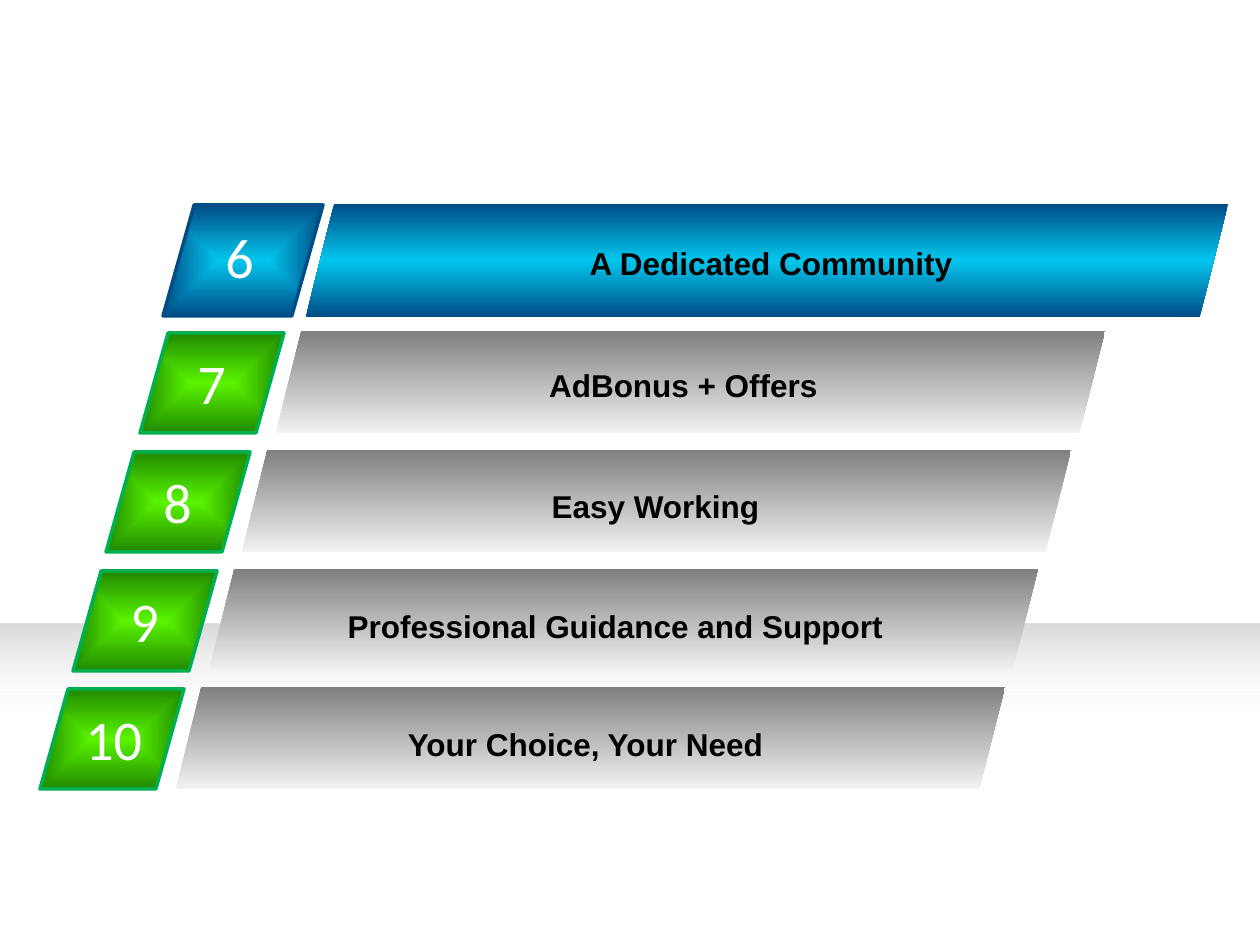
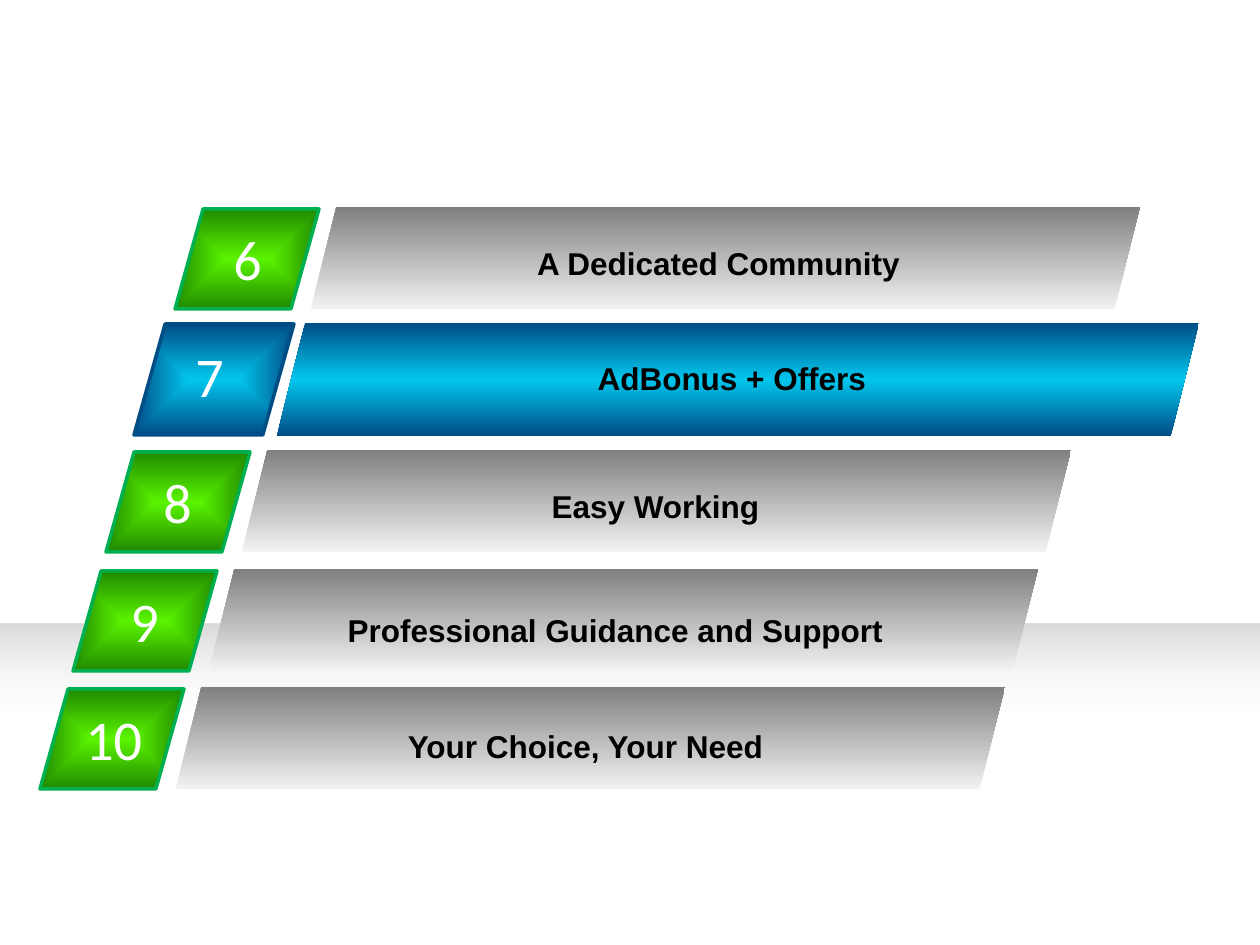
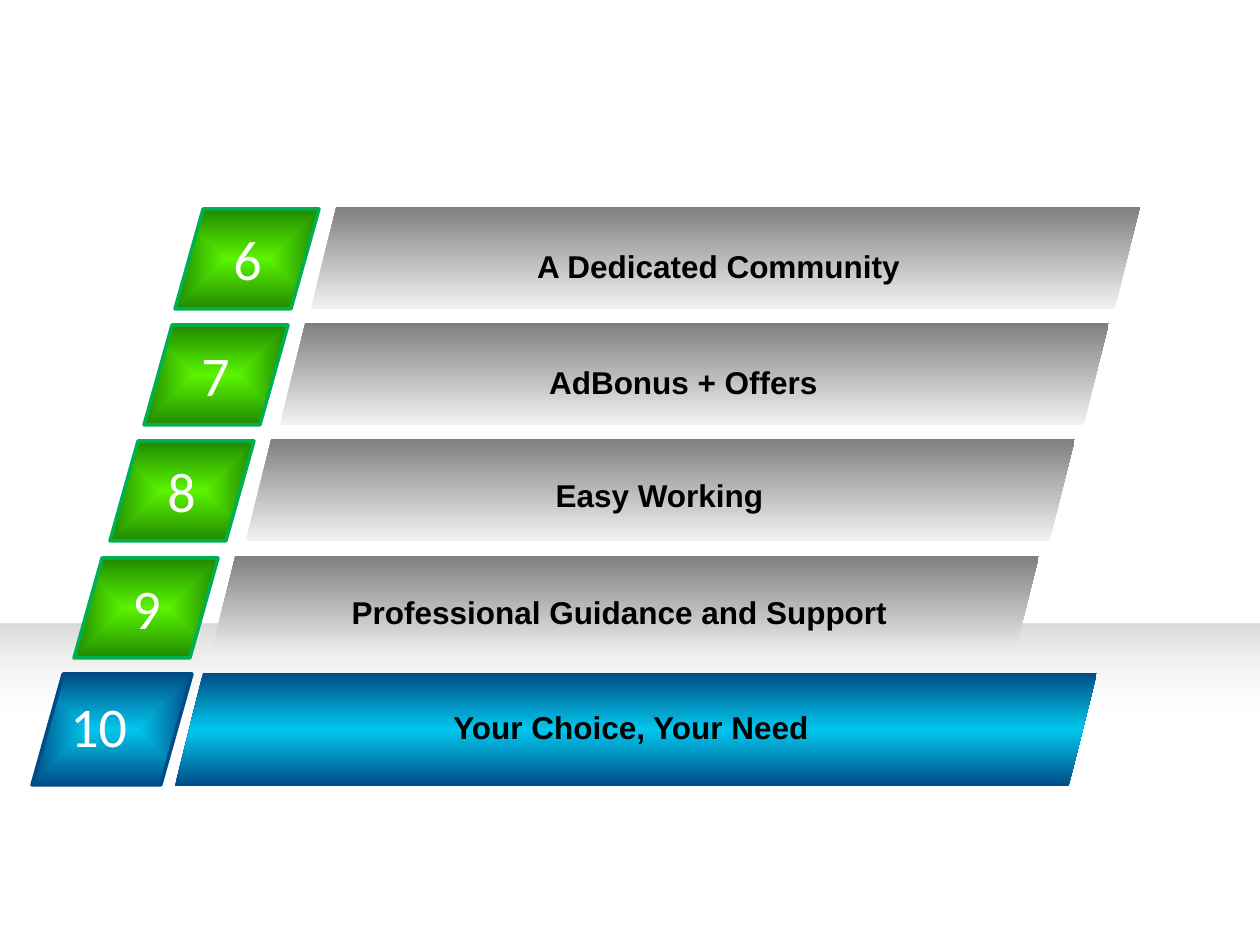
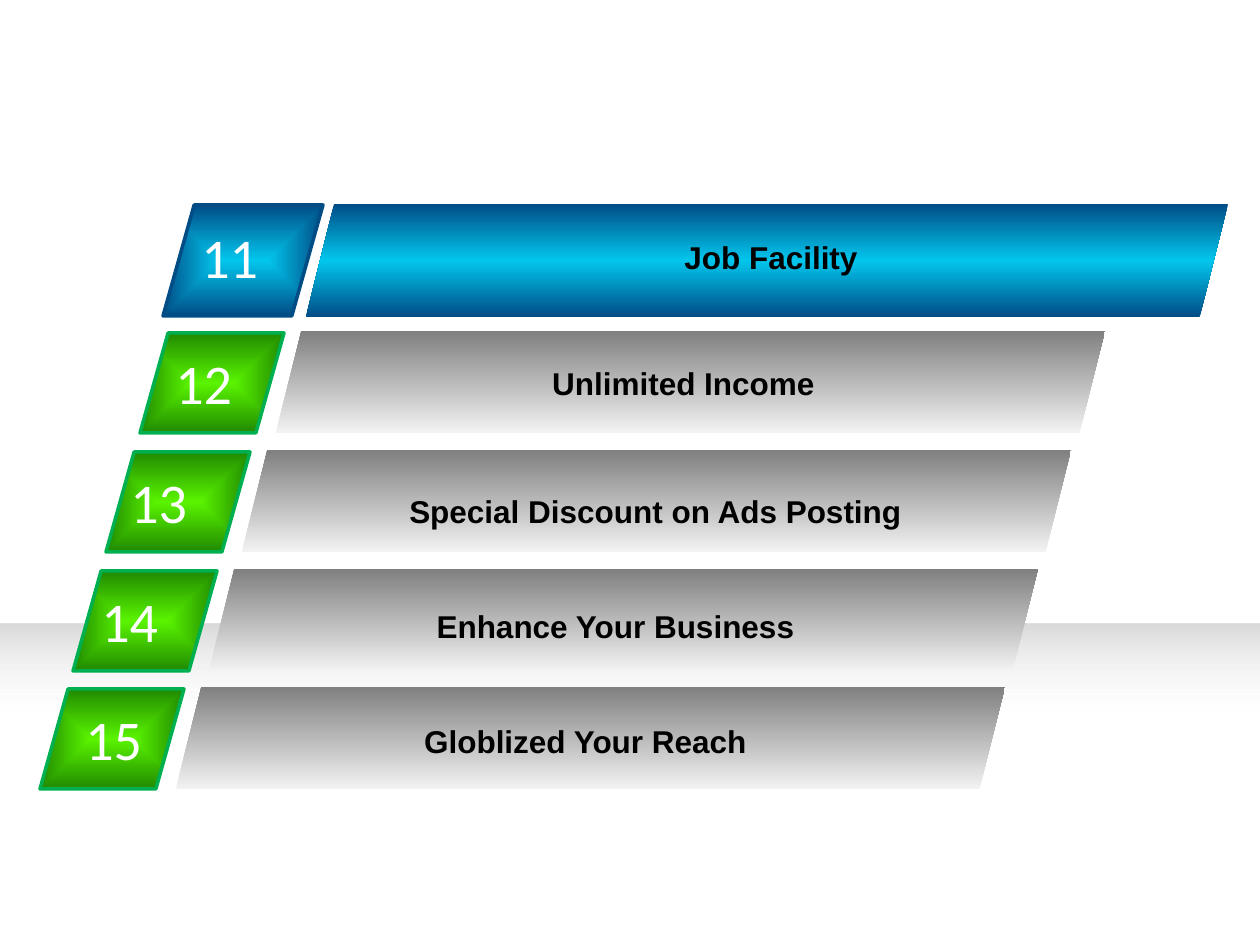
from pptx import Presentation
from pptx import util as u
from pptx.dml.color import RGBColor
from pptx.enum import shapes, text
from pptx.oxml import parse_xml
from pptx.oxml.ns import nsdecls, qn

COLORS = {
    "white": "FFFFFF",
    "black": "000000",
    "band": "D9D9D9",
    "silver": "F2F2F2",
    "gray": "808080",
    "cyan": "03C6ED",
    "navy": "004D86",
    "lime": "5AF300",
    "forest": "208A00",
    "edge": "00B050",
}
UP = '<a:lin ang="16200000" scaled="0"/>'
FROM_CENTER = '<a:path path="shape"><a:fillToRect l="50000" t="50000" r="50000" b="50000"/></a:path>'

PLAIN = {
    "bar": (829, 102),
    "bar_stops": [(0, "silver", 100), (100, "gray", 100)],
    "badge": (144, 100),
    "badge_offset": (-136, 2),
    "badge_stops": [(0, "lime", 100), (100, "forest", 100)],
    "edge": "edge",
    "digit_drop": 9,
    "label_width": 745,
}
ACTIVE = {
    "bar": (922, 113),
    "bar_stops": [(0, "navy", 100), (50, "cyan", 100), (100, "navy", 100)],
    "badge": (160, 111),
    "badge_offset": (-143, 1),
    "badge_stops": [(0, "cyan", 100), (100, "navy", 100)],
    "edge": "navy",
    "digit_drop": 11,
    "label_width": 828,
}


class Deck:
    """Hold the shared style and the slide being drawn."""

    SCALE = u.Inches(1) // 126

    def __init__(self):
        """Open a presentation of 10 by 7.5 inches."""
        self.presentation = Presentation()
        self.presentation.slide_width = u.Inches(10)
        self.presentation.slide_height = u.Inches(7.5)
        self.layout = self.presentation.slide_layouts.get_by_name("Blank")
        self.slide = None

    def new_slide(self):
        """Start a slide without a title."""
        self.slide = self.presentation.slides.add_slide(self.layout)

    def box(self, left, top, width, height):
        """Turn pixels into lengths."""
        return [self.SCALE * value for value in (left, top, width, height)]

    def gradient_shape(self, kind, box, stops, direction, edge=None):
        """Add a preset shape with a gradient fill and an optional edge."""
        shape = self.slide.shapes.add_shape(kind, *self.box(*box))
        shape.shadow.inherit = False
        shape.fill.background()
        stop_xml = "".join(
            f'<a:gs pos="{position * 1000}"><a:srgbClr val="{COLORS[color]}">'
            f'<a:alpha val="{alpha * 1000}"/></a:srgbClr></a:gs>'
            for position, color, alpha in stops
        )
        properties = shape.element.spPr
        properties.replace(
            properties.find(qn("a:noFill")),
            parse_xml(
                f'<a:gradFill {nsdecls("a")} rotWithShape="1">'
                f"<a:gsLst>{stop_xml}</a:gsLst>{direction}</a:gradFill>"
            ),
        )
        if edge:
            shape.line.color.rgb = RGBColor.from_string(COLORS[edge])
            shape.line.width = u.Pt(2)
        else:
            shape.line.fill.background()
        return shape

    def floor_band(self):
        """Put the fading band on the layout, behind every slide."""
        stops = [(0, "white", 0), (61, "white", 0), (100, "band", 100)]
        band = self.gradient_shape(
            shapes.MSO_SHAPE.RECTANGLE, (0, 624, 1260, 254), stops, UP
        )
        self.layout.shapes.element.insert(2, band.element)

    def add_text(self, words, box, size, font, color, bold=False, align=text.PP_ALIGN.LEFT):
        """Add a text box with one formatted line."""
        frame = self.slide.shapes.add_textbox(*self.box(*box)).text_frame
        frame.word_wrap = True
        frame.auto_size = text.MSO_AUTO_SIZE.SHAPE_TO_FIT_TEXT
        paragraph = frame.paragraphs[0]
        paragraph.alignment = align
        run = paragraph.add_run()
        run.text = words
        run.font.size = u.Pt(size)
        run.font.name = font
        run.font.bold = bold
        run.font.color.rgb = RGBColor.from_string(COLORS[color])

    def step(self, number, label, place, digit_left, label_place, look):
        """Draw a numbered badge with its labelled bar."""
        left, top = place
        slant = shapes.MSO_SHAPE.PARALLELOGRAM
        shift, drop = look["badge_offset"]
        badge_top = top + drop
        badge = self.gradient_shape(
            slant, (left + shift, badge_top, *look["badge"]),
            look["badge_stops"], FROM_CENTER, look["edge"],
        )
        badge.adjustments[0] = 0.281
        self.gradient_shape(slant, (*place, *look["bar"]), look["bar_stops"], UP)
        digit_width = 56 if len(number) == 1 else 98
        self.add_text(
            number, (digit_left, badge_top + look["digit_drop"], digit_width, 80),
            size=32, font="Calibri", color="white",
        )
        self.add_text(
            label, (*label_place, look["label_width"], 50),
            size=18, font="Arial", color="black", bold=True, align=text.PP_ALIGN.CENTER,
        )

    def ladder(self, first, active, labels, places, digit_lefts, label_places):
        """Draw a slide of steps, one of them highlighted."""
        self.new_slide()
        rows = zip(labels, places, digit_lefts, label_places)
        for number, row in enumerate(rows, first):
            self.step(str(number), *row, ACTIVE if number == active else PLAIN)


BENEFITS = [
    "A Dedicated Community",
    "AdBonus + Offers",
    "Easy Working",
    "Professional Guidance and Support",
    "Your Choice, Your Need",
]
REWARDS = [
    "Job Facility",
    "Unlimited Income",
    "Special Discount on Ads Posting",
    "Enhance Your Business",
    "Globlized Your Reach",
]
TOP_ACTIVE = [(306, 204), (276, 331), (242, 450), (209, 569), (176, 687)]
LAST_ACTIVE = [(311, 207), (280, 323), (246, 439), (210, 556), (175, 673)]
SECOND_ACTIVE = [LAST_ACTIVE[0], (277, 323), *TOP_ACTIVE[2:]]

deck = Deck()
deck.ladder(
    6, 6, BENEFITS, TOP_ACTIVE, [213, 185, 151, 118, 73],
    [(357, 238), (311, 360), (283, 481), (243, 601), (213, 719)],
)
deck.floor_band()
deck.ladder(
    6, 7, BENEFITS, SECOND_ACTIVE, [221, 183, 151, 118, 73],
    [(346, 238), (318, 353), (283, 481), (243, 605), (213, 721)],
)
deck.ladder(
    6, 10, BENEFITS, LAST_ACTIVE, [221, 189, 155, 120, 58],
    [(346, 241), (311, 357), (287, 470), (247, 587), (217, 702)],
)
deck.ladder(
    11, 11, REWARDS, TOP_ACTIVE, [189, 163, 118, 89, 73],
    [(357, 232), (311, 358), (283, 486), (243, 601), (213, 716)],
)
deck.presentation.save("out.pptx")
